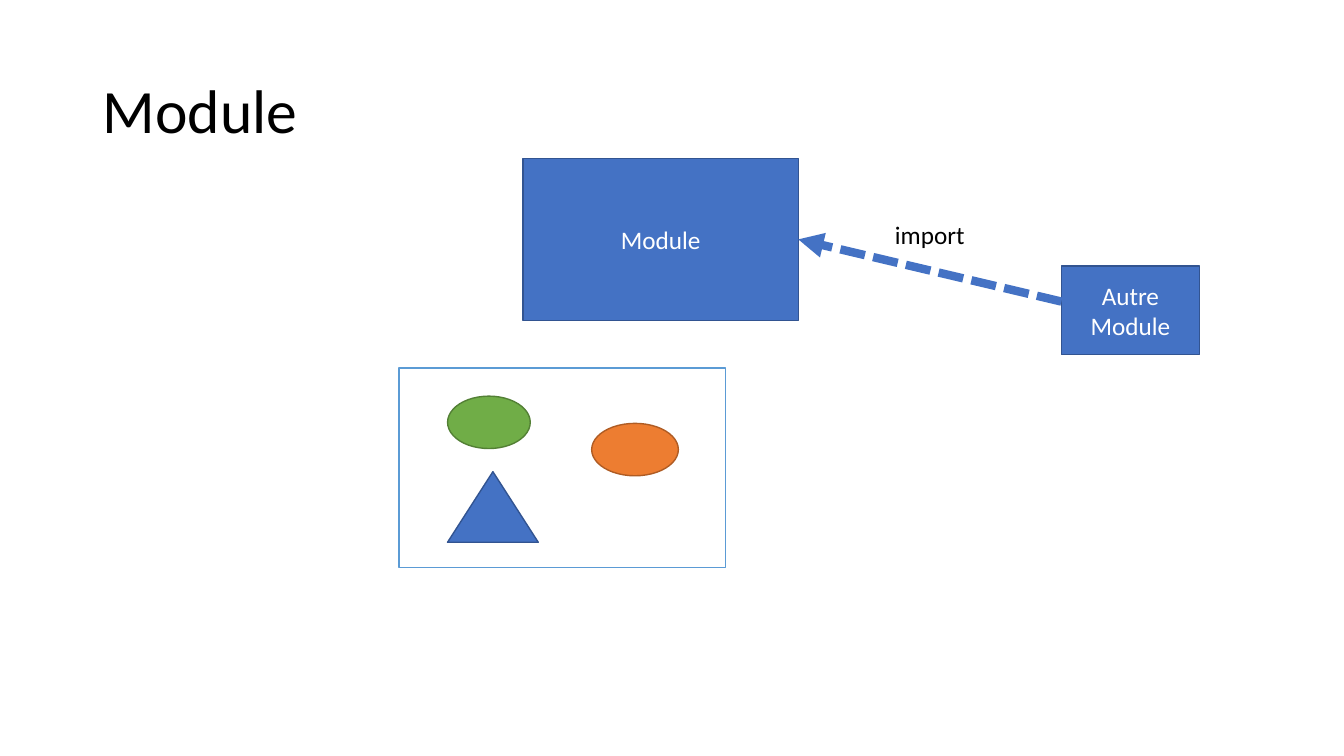
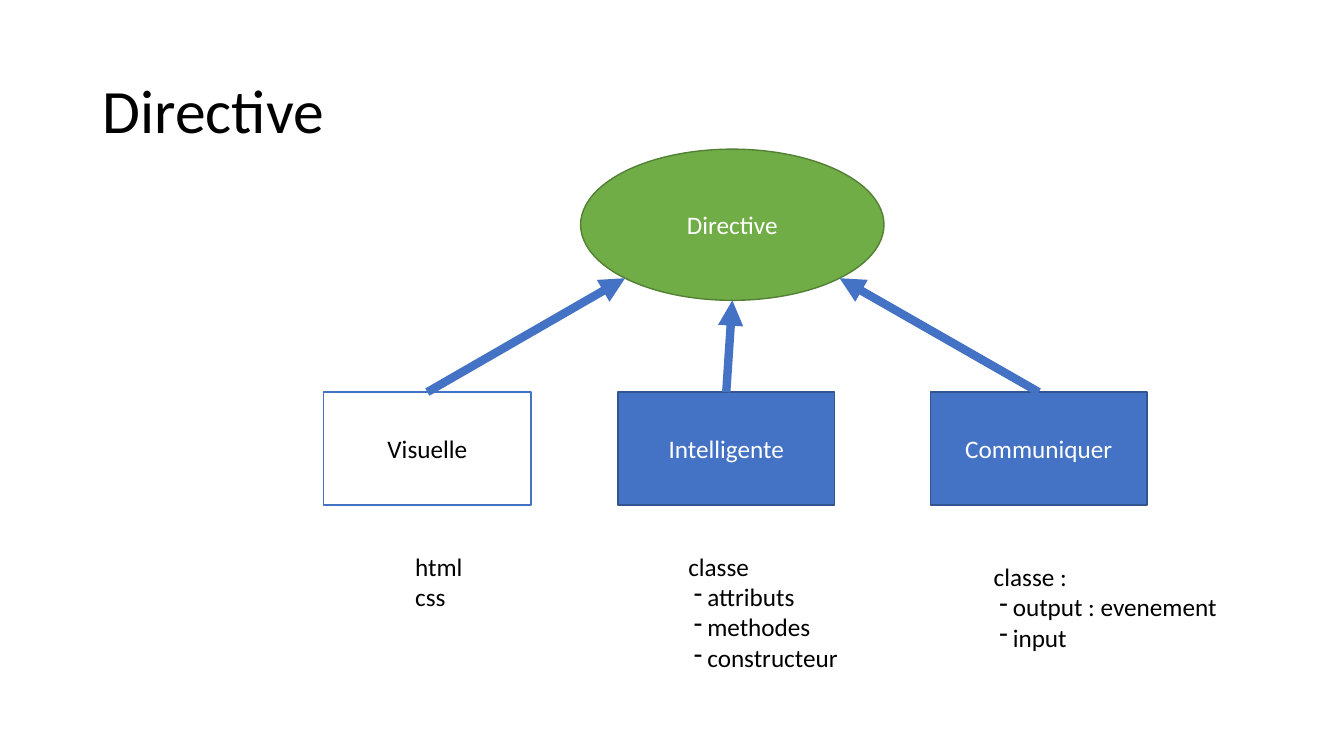
from lxml import etree
from pptx import Presentation
from pptx.dml.color import RGBColor
from pptx.enum.dml import MSO_LINE
from pptx.enum.shapes import MSO_CONNECTOR, MSO_SHAPE
from pptx.enum.text import MSO_ANCHOR, MSO_AUTO_SIZE, PP_ALIGN
from pptx.oxml.ns import qn
from pptx.util import Inches, Pt

RECTANGLE, ELLIPSE, TRIANGLE = MSO_SHAPE.RECTANGLE, MSO_SHAPE.OVAL, MSO_SHAPE.ISOSCELES_TRIANGLE
STRAIGHT, DASHED = MSO_CONNECTOR.STRAIGHT, MSO_LINE.SQUARE_DOT
LEFT, CENTER = PP_ALIGN.LEFT, PP_ALIGN.CENTER
TOP, MIDDLE = MSO_ANCHOR.TOP, MSO_ANCHOR.MIDDLE

BLACK, WHITE, ACCENT = "000000", "FFFFFF", "4472C4"
# Each style: fill, outline, text colour
BLUE = (ACCENT, "325491", WHITE)
GREEN = ("70AD47", "538035", WHITE)
ORANGE = ("ED7D31", "AF5C24", WHITE)
OUTLINED = (WHITE, ACCENT, BLACK)
FRAME = (WHITE, "5B9BD5", BLACK)

# Points on a shape, as shares of its width and height
TOP_EDGE, LEFT_EDGE = (0.5, 0), (0, 0.5)
BOTTOM_EDGE, RIGHT_EDGE = (0.5, 1), (1, 0.5)
RIM = 0.5 ** 0.5 / 2
RIM_LOWER_LEFT, RIM_LOWER_RIGHT = (0.5 - RIM, 0.5 + RIM), (0.5 + RIM, 0.5 + RIM)


def rgb(value):
    return RGBColor.from_string(value)


def grid(*cells):
    """Turn grid columns or rows, ten to the inch, into lengths."""
    return [Inches(cell / 10) for cell in cells]


def point_on(shape, share):
    return (int(shape.left + shape.width * share[0]),
            int(shape.top + shape.height * share[1]))


class Deck:
    font = "Calibri"
    title_size, body_size = 44, 18
    title_area = (9.2, 4, 115, 14.5)

    def __init__(self):
        self.presentation = Presentation()
        self.presentation.slide_width, self.presentation.slide_height = grid(133.33, 75)
        self.slide = None

    def new_slide(self, title):
        layout = self.presentation.slide_layouts[6]
        self.slide = self.presentation.slides.add_slide(layout)
        heading = self.slide.shapes.add_textbox(*grid(*self.title_area)).text_frame
        heading.word_wrap = True
        heading.vertical_anchor = MIDDLE
        paragraph = heading.paragraphs[0]
        paragraph.line_spacing = 0.9
        self.add_run(paragraph, title, self.title_size, BLACK)

    def add_run(self, paragraph, text, size, color):
        run = paragraph.add_run()
        run.text = text
        run.font.name = self.font
        run.font.size = Pt(size)
        run.font.color.rgb = rgb(color)

    def add_node(self, kind, area, style, label=None):
        fill, outline, text_color = style
        node = self.slide.shapes.add_shape(kind, *grid(*area))
        node.shadow.inherit = False
        node.fill.solid()
        node.fill.fore_color.rgb = rgb(fill)
        node.line.color.rgb = rgb(outline)
        node.line.width = Pt(1)
        if label:
            node.text_frame.word_wrap = True
            node.text_frame.vertical_anchor = MIDDLE
            paragraph = node.text_frame.paragraphs[0]
            paragraph.alignment = CENTER
            self.add_run(paragraph, label, self.body_size, text_color)
        return node

    def add_arrow(self, source, source_share, target, target_share, dash=None):
        arrow = self.slide.shapes.add_connector(
            STRAIGHT, *point_on(source, source_share), *point_on(target, target_share))
        arrow.line.color.rgb = rgb(ACCENT)
        arrow.line.width = Pt(6)
        if dash:
            arrow.line.dash_style = dash
        properties = arrow._element.spPr
        etree.SubElement(properties.find(qn("a:ln")), qn("a:tailEnd"), type="triangle")
        etree.SubElement(properties, qn("a:effectLst"))

    def add_note(self, area, lines, items=()):
        """Write plain lines, then items marked with a dash."""
        frame = self.slide.shapes.add_textbox(*grid(*area)).text_frame
        frame.word_wrap = False
        frame.auto_size = MSO_AUTO_SIZE.SHAPE_TO_FIT_TEXT
        frame.vertical_anchor = TOP
        for index, text in enumerate([*lines, *items]):
            paragraph = frame.add_paragraph() if index else frame.paragraphs[0]
            paragraph.alignment = LEFT
            if index >= len(lines):
                properties = paragraph._p.get_or_add_pPr()
                properties.set("marL", str(Pt(13.6)))
                properties.set("indent", str(Pt(-9.6)))
                etree.SubElement(properties, qn("a:buChar"), char="-")
            self.add_run(paragraph, text, self.body_size, BLACK)


def build_module(deck):
    deck.new_slide("Module")
    module = deck.add_node(RECTANGLE, (51.9, 15.7, 27.3, 16.1), BLUE, "Module")
    for kind, area, style in (
        (RECTANGLE, (39.6, 36.5, 32.4, 19.8), FRAME),
        (ELLIPSE, (44.4, 39.3, 8.2, 5.2), GREEN),
        (ELLIPSE, (58.7, 42, 8.6, 5.2), ORANGE),
        (TRIANGLE, (44.4, 46.8, 9, 7), BLUE),
    ):
        deck.add_node(kind, area, style)
    other = deck.add_node(RECTANGLE, (105.3, 26.4, 13.7, 8.8), BLUE, "Autre Module")
    # The arrow leaves the other module slightly above its middle
    deck.add_arrow(other, (0, 0.4), module, RIGHT_EDGE, DASHED)
    deck.add_note((87.8, 21.3, 9, 4), ["import"])


def build_directive(deck):
    deck.new_slide("Directive")
    directive = deck.add_node(ELLIPSE, (57.6, 14.8, 30.1, 15), GREEN, "Directive")
    row_top, row_height = 38.9, 11.2
    for label, left, width, style, target in (
        ("Visuelle", 32.1, 20.6, OUTLINED, RIM_LOWER_LEFT),
        ("Intelligente", 61.3, 21.5, BLUE, BOTTOM_EDGE),
        ("Communiquer", 92.3, 21.5, BLUE, RIM_LOWER_RIGHT),
    ):
        trait = deck.add_node(RECTANGLE, (left, row_top, width, row_height), style, label)
        deck.add_arrow(trait, TOP_EDGE, directive, target)
    deck.add_note((40.2, 54.2, 6.8, 7.1), ["html", "css"])
    deck.add_note((67.3, 54.2, 17, 13.1), ["classe"],
                  ["attributs", "methodes", "constructeur"])
    deck.add_note((97.6, 55.2, 24.5, 10.1), ["classe :"],
                  ["output : evenement", "input"])


def main():
    deck = Deck()
    build_module(deck)
    build_directive(deck)
    deck.presentation.save("out.pptx")


if __name__ == "__main__":
    main()
